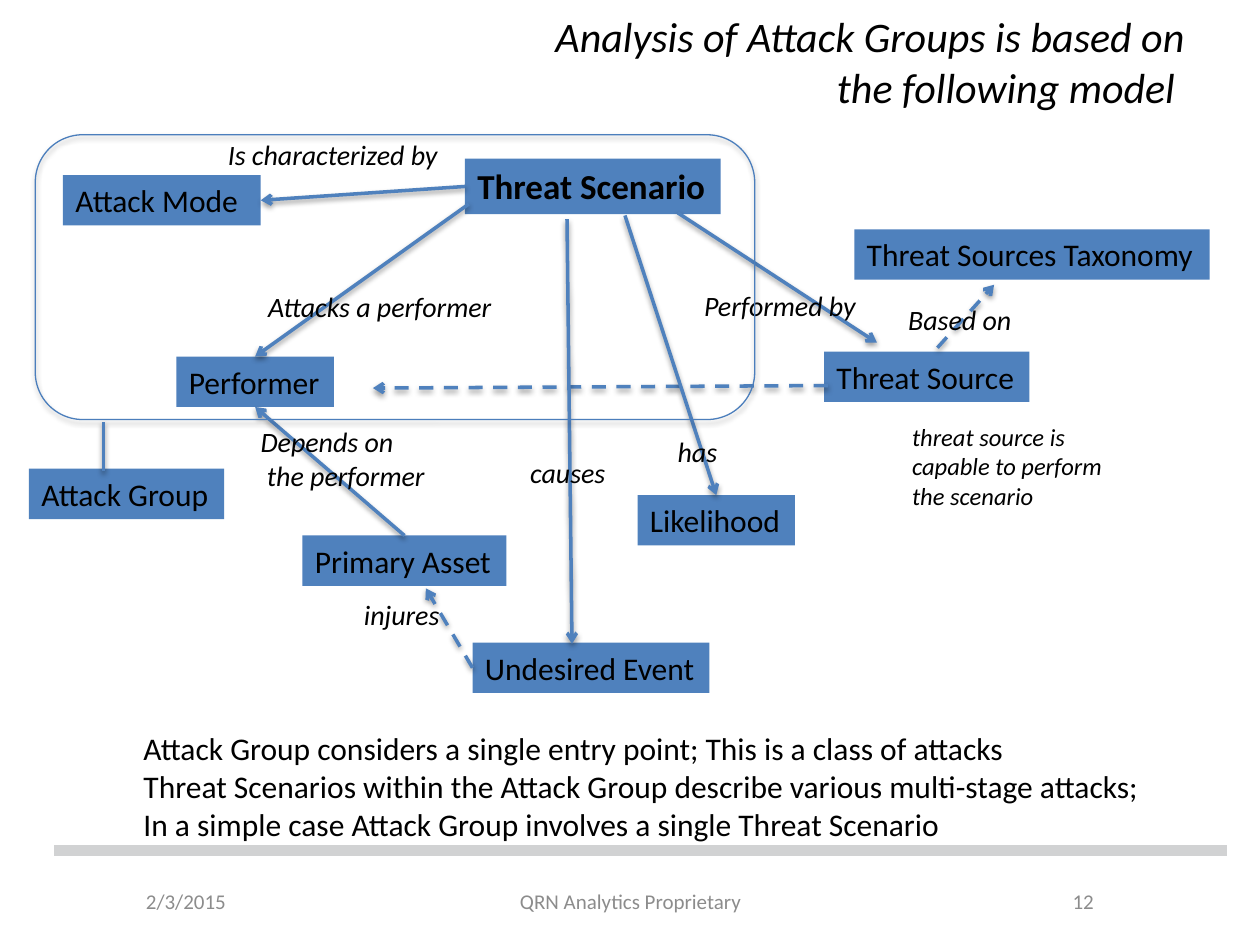
from copy import deepcopy
from dataclasses import dataclass

from lxml import etree
from pptx import Presentation
from pptx.dml.color import RGBColor
from pptx.enum.dml import MSO_LINE
from pptx.enum.shapes import MSO_CONNECTOR, MSO_SHAPE
from pptx.enum.text import MSO_ANCHOR, MSO_AUTO_SIZE, PP_ALIGN
from pptx.oxml.ns import qn
from pptx.util import Inches, Pt

RECT, ROUNDED = MSO_SHAPE.RECTANGLE, MSO_SHAPE.ROUNDED_RECTANGLE
STRAIGHT, DASH = MSO_CONNECTOR.STRAIGHT, MSO_LINE.DASH
LEFT, CENTER, RIGHT = PP_ALIGN.LEFT, PP_ALIGN.CENTER, PP_ALIGN.RIGHT
TOP, MIDDLE = MSO_ANCHOR.TOP, MSO_ANCHOR.MIDDLE
GROW, FIXED = MSO_AUTO_SIZE.SHAPE_TO_FIT_TEXT, MSO_AUTO_SIZE.NONE
SIDE_TOP, SIDE_LEFT, SIDE_BOTTOM, SIDE_RIGHT = range(4)

# Grid of 100 columns by 75 rows on a 10 x 7.5 inch slide
CELL = 0.1
COLS, ROWS = 100, 75


@dataclass(frozen=True)
class Theme:
    font: str = "Calibri"
    ink: str = "000000"
    muted: str = "8C8C8C"
    blue: str = "4F81BD"
    outline: str = "4B7EBC"
    rule: str = "D1D2D3"
    title: int = 24
    focus: int = 20
    body: int = 18
    label: int = 16
    note: int = 14
    footer: int = 12


T = Theme()
BOX_H = 4

# Concept boxes: name -> (column, row, columns wide)
BOXES = {
    "Performer": (14, 28.3, 12.5),
    "Undesired Event": (37.5, 51, 18.8),
    "Threat Source": (65.4, 27.9, 16.3),
    "Threat Sources Taxonomy": (67.8, 18.2, 28.2),
    "Primary Asset": (24, 42.5, 16.2),
    "Likelihood": (50.6, 39.3, 12.5),
    "Attack Mode": (5, 13.9, 15.7),
    "Attack Group": (2.3, 37.2, 15.5),
}

# Relations: an end is a grid point or a (box name, side) pair; then dashed
ARROWS = [
    ((37.2, 16.2), ("Performer", SIDE_TOP), False),
    ((53.8, 16.9), (69.6, 27.2), False),
    ((65.7, 30.6), (29.6, 30.8), True),
    ((74.4, 27.6), (78.9, 22.6), True),
    ((45, 17.4), (45.4, 51.1), False),
    ((49.6, 17.1), ("Likelihood", SIDE_TOP), False),
    (("Primary Asset", SIDE_TOP), ("Performer", SIDE_BOTTOM), False),
    (("Undesired Event", SIDE_LEFT), (33.8, 46.7), True),
    (("Threat Scenario", SIDE_LEFT), ("Attack Mode", SIDE_RIGHT), False),
]

# Relation labels: text, column, row, columns wide, rows high
LABELS = [
    ("Attacks a performer", 20.3, 22.5, 20.6, 3.7),
    ("Performed by", 54.9, 22.4, 14.7, 3.7),
    ("Based on", 71.1, 23.5, 10.8, 3.7),
    ("has", 52.8, 34, 5.7, 3.7),
    ("causes", 41.1, 35.7, 8.6, 3.7),
    ("Depends on\v the performer", 19.7, 33.2, 15.7, 6.4),
    ("injures", 27.9, 46.9, 8.6, 3.7),
]

SUMMARY = (
    "Attack Group considers a single entry point; This is a class of attacks\n"
    "Threat Scenarios within the Attack Group describe various multi-stage attacks;\n"
    "In a simple case Attack Group involves a single Threat Scenario"
)


def grid(*cells):
    return [Inches(c * CELL) for c in cells]


def rgb(code):
    return RGBColor.from_string(code)


def set_text(sp, text, size=T.body, color=T.ink, bold=False, italic=False,
             align=LEFT, anchor=TOP, wrap=False, fit=GROW):
    """Newlines part paragraphs; vertical tabs are line breaks."""
    tf = sp.text_frame
    tf.word_wrap, tf.auto_size, tf.vertical_anchor = wrap, fit, anchor
    for i, line in enumerate(text.split("\n")):
        p = tf.add_paragraph() if i else tf.paragraphs[0]
        p.text, p.alignment = line, align
        for r in p.runs:
            f = r.font
            f.name, f.size, f.bold, f.italic = T.font, Pt(size), bold, italic
            f.color.rgb = rgb(color)
        for br in p._p.findall(qn("a:br")):
            br.append(deepcopy(p.runs[0]._r.rPr))


def add_text(s, text, x, y, w, h, **fmt):
    sp = s.shapes.add_textbox(*grid(x, y, w, h))
    set_text(sp, text, **fmt)
    return sp


def add_box(s, text, x, y, w, h=BOX_H, **fmt):
    sp = s.shapes.add_shape(RECT, *grid(x, y, w, h))
    sp.fill.solid()
    sp.fill.fore_color.rgb = rgb(T.blue)
    sp.line.fill.background()
    sp.shadow.inherit = False
    set_text(sp, text, **fmt)
    return sp


def add_effects(sp, alpha=None):
    """Soft downward shadow, or none when alpha is not given."""
    effects = etree.SubElement(sp._element.spPr, qn("a:effectLst"))
    if alpha:
        shadow = etree.SubElement(effects, qn("a:outerShdw"), blurRad=str(Pt(3.1)),
                                  dist=str(Pt(1.6)), dir="5400000", rotWithShape="0")
        color = etree.SubElement(shadow, qn("a:srgbClr"), val=T.ink)
        etree.SubElement(color, qn("a:alpha"), val=str(alpha * 1000))


def add_line(s, start, end, boxes=None, color=T.blue, width=2, dashed=False,
             arrow=False, shadow=38):
    joined = [isinstance(e[0], str) for e in (start, end)]
    points = [(0, 0) if j else e for j, e in zip(joined, (start, end))]
    c = s.shapes.add_connector(STRAIGHT, *grid(*points[0], *points[1]))
    if joined[0]:
        c.begin_connect(boxes[start[0]], start[1])
    if joined[1]:
        c.end_connect(boxes[end[0]], end[1])
    c.line.color.rgb = rgb(color)
    c.line.width = Pt(width)
    if dashed:
        c.line.dash_style = DASH
    if arrow:
        etree.SubElement(c.line._get_or_add_ln(), qn("a:tailEnd"), type="arrow")
    add_effects(c, shadow)


def add_frame(s, x, y, w, h):
    sp = s.shapes.add_shape(ROUNDED, *grid(x, y, w, h))
    sp.fill.background()
    sp.line.color.rgb = rgb(T.outline)
    sp.line.width = Pt(0.75)
    add_effects(sp, 35)


def add_footer(s):
    fmt = dict(size=T.footer, color=T.muted, anchor=MIDDLE, wrap=True, fit=FIXED)
    add_text(s, "2/3/2015", 10.6, 69.5, 17.7, 4, **fmt)
    add_text(s, "QRN Analytics Proprietary", 34.2, 69.5, 31.7, 4, align=CENTER, **fmt)
    add_text(s, "12", 71.7, 69.5, 16.1, 4, align=RIGHT, **fmt)
    add_line(s, (4.3, 67.5), (97.4, 67.5), color=T.rule, width=6, shadow=None)


def main():
    prs = Presentation()
    prs.slide_width, prs.slide_height = grid(COLS, ROWS)
    s = prs.slides.add_slide(prs.slide_layouts[6])

    # Footer and title
    add_footer(s)
    add_text(s, "Analysis of Attack Groups is based on\v the following model ",
             5, 2.1, 90, 5.5, size=T.title, italic=True, align=RIGHT,
             anchor=MIDDLE, wrap=True, fit=FIXED)

    # Concepts
    boxes = {name: add_box(s, name, *place, wrap=name == "Attack Mode")
             for name, place in BOXES.items()}
    boxes["Threat Scenario"] = add_box(s, "Threat Scenario", 36.9, 12.6, 20.3, 4.4,
                                       size=T.focus, bold=True)

    # Relations and their labels
    for start, end, dashed in ARROWS:
        add_line(s, start, end, boxes, dashed=dashed, arrow=True)
    for text, *place in LABELS:
        add_text(s, text, *place, size=T.label, italic=True)
    add_text(s, "Is characterized by", 17.1, 10.4, 20.3, 3.7,
             size=T.label, italic=True, wrap=True)
    add_text(s, "threat source is\vcapable to perform\vthe scenario",
             71.4, 33, 17.6, 8.1, size=T.note, italic=True, wrap=True)

    # Attack group frame and its tie
    add_frame(s, 2.8, 10.7, 57.1, 22.6)
    add_line(s, (8.2, 33.5), (8.2, 37.4))

    # Summary
    add_text(s, SUMMARY, 10.4, 57.4, 81.9, 10.1)
    prs.save("out.pptx")


if __name__ == "__main__":
    main()
